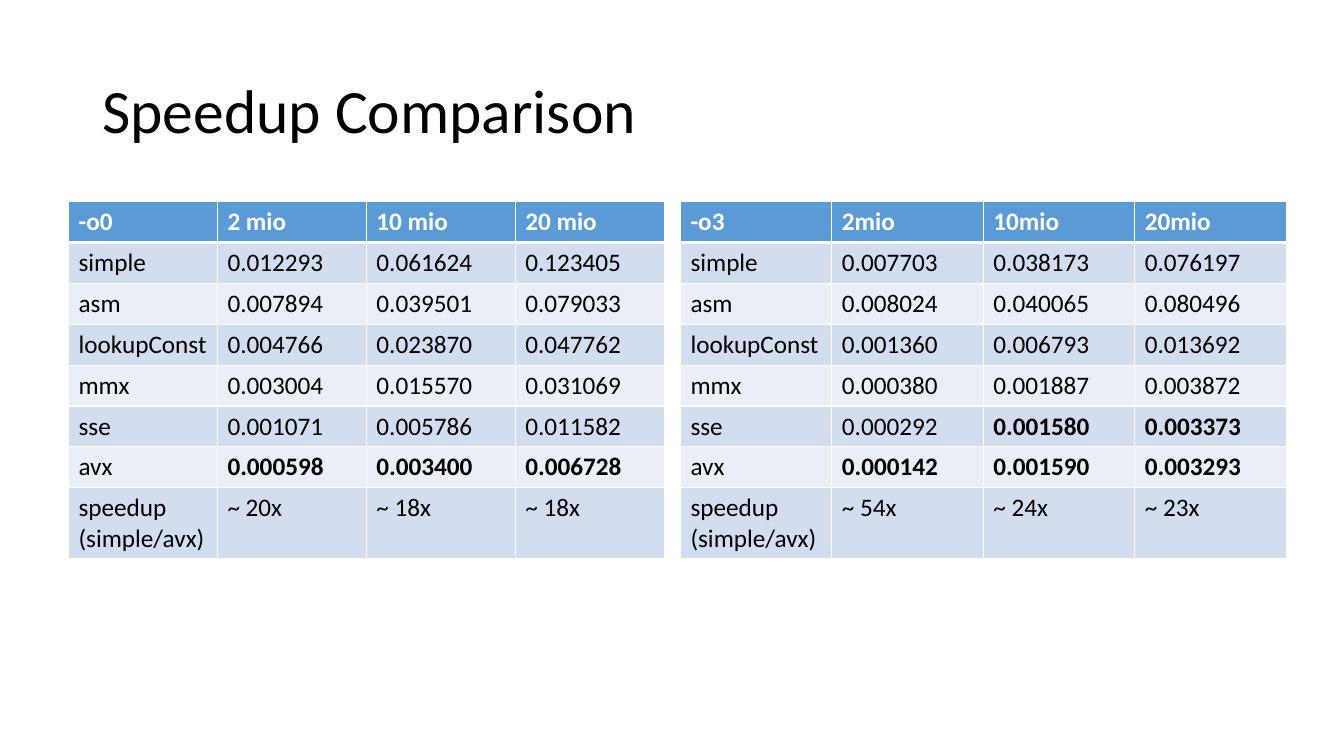
from dataclasses import dataclass

from lxml.etree import SubElement
from pptx import Presentation
from pptx.dml.color import RGBColor
from pptx.enum.text import MSO_ANCHOR
from pptx.oxml.ns import qn
from pptx.slide import Slide
from pptx.table import _Cell
from pptx.text.text import _Paragraph
from pptx.util import Inches, Length, Pt

WHITE = RGBColor(0xFF, 0xFF, 0xFF)
BLACK = RGBColor(0x00, 0x00, 0x00)
BLUE = RGBColor(0x5B, 0x9B, 0xD5)
BAND_DARK = RGBColor(0xD2, 0xDE, 0xEF)
BAND_LIGHT = RGBColor(0xEA, 0xEF, 0xF7)

FONT = "Calibri"
WIDTH, HEIGHT = Inches(13.333), Inches(7.5)
TABLE_TOP = 26.67
ROW_HEIGHT = 5.41
LAST_ROW_HEIGHT = 9.33
METHODS = ("simple", "asm", "lookupConst", "mmx", "sse", "avx", "speedup\n(simple/avx)")


@dataclass(frozen=True)
class Timing:
    left: float
    col_width: float
    header: tuple[str, ...]
    values: tuple[tuple[str, ...], ...]
    bold: frozenset[str]


TIMINGS = (
    Timing(
        5.1, 11.08, ("-o0", "2 mio", "10 mio", "20 mio"),
        (
            ("0.012293", "0.061624", "0.123405"),
            ("0.007894", "0.039501", "0.079033"),
            ("0.004766", "0.023870", "0.047762"),
            ("0.003004", "0.015570", "0.031069"),
            ("0.001071", "0.005786", "0.011582"),
            ("0.000598", "0.003400", "0.006728"),
            ("~ 20x", "~ 18x", "~ 18x"),
        ),
        frozenset(("0.000598", "0.003400", "0.006728")),
    ),
    Timing(
        50.63, 11.27, ("-o3", "2mio", "10mio", "20mio"),
        (
            ("0.007703", "0.038173", "0.076197"),
            ("0.008024", "0.040065", "0.080496"),
            ("0.001360", "0.006793", "0.013692"),
            ("0.000380", "0.001887", "0.003872"),
            ("0.000292", "0.001580", "0.003373"),
            ("0.000142", "0.001590", "0.003293"),
            ("~ 54x", "~ 24x", "~ 23x"),
        ),
        frozenset(("0.001580", "0.003373", "0.000142", "0.001590", "0.003293")),
    ),
)


def across(percent: float) -> Length:
    return Length(round(WIDTH * percent / 100))


def down(percent: float) -> Length:
    return Length(round(HEIGHT * percent / 100))


def add_run(p: _Paragraph, text: str, size: int, color: RGBColor, bold: bool = False) -> None:
    r = p.add_run()
    r.text = text
    r.font.name = FONT
    r.font.size = Pt(size)
    r.font.color.rgb = color
    r.font.bold = bold


def set_borders(cell: _Cell, top: int, bottom: int) -> None:
    tc_pr = cell._tc.get_or_add_tcPr()
    sides = (("a:lnL", 1), ("a:lnR", 1), ("a:lnT", top), ("a:lnB", bottom))
    for i, (tag, width) in enumerate(sides):
        ln = SubElement(tc_pr, qn(tag), w=str(Pt(width)))
        fill = SubElement(ln, qn("a:solidFill"))
        SubElement(fill, qn("a:srgbClr"), val=str(WHITE))
        tc_pr.insert(i, ln)


def add_title(slide: Slide, text: str) -> None:
    sp = slide.shapes.add_textbox(across(6.88), down(5.33), across(86.25), down(19.33))
    tf = sp.text_frame
    tf.word_wrap = True
    tf.vertical_anchor = MSO_ANCHOR.MIDDLE
    p = tf.paragraphs[0]
    p.line_spacing = 0.9
    add_run(p, text, 44, BLACK)


def fill_cell(cell: _Cell, text: str, row: int, bold: bool) -> None:
    is_header = row == 0
    cell.fill.solid()
    cell.fill.fore_color.rgb = BLUE if is_header else BAND_DARK if row % 2 else BAND_LIGHT
    set_borders(cell, top=3 if row == 1 else 1, bottom=3 if is_header else 1)
    tf = cell.text_frame
    for i, line in enumerate(text.split("\n")):
        p = tf.add_paragraph() if i else tf.paragraphs[0]
        add_run(p, line, 18, WHITE if is_header else BLACK, is_header or bold)


def add_timing(slide: Slide, timing: Timing) -> None:
    rows = [timing.header] + [(m, *v) for m, v in zip(METHODS, timing.values)]
    heights = [ROW_HEIGHT] * (len(rows) - 1) + [LAST_ROW_HEIGHT]
    cols = len(timing.header)
    table = slide.shapes.add_table(
        len(rows), cols, across(timing.left), down(TABLE_TOP),
        across(timing.col_width * cols), down(sum(heights)),
    ).table
    table.horz_banding = False
    for column in table.columns:
        column.width = across(timing.col_width)
    for i, (texts, height) in enumerate(zip(rows, heights)):
        table.rows[i].height = down(height)
        for j, text in enumerate(texts):
            fill_cell(table.cell(i, j), text, i, text in timing.bold)


def main() -> None:
    prs = Presentation()
    prs.slide_width, prs.slide_height = WIDTH, HEIGHT
    slide = prs.slides.add_slide(prs.slide_layouts[6])
    add_title(slide, "Speedup Comparison")
    for timing in TIMINGS:
        add_timing(slide, timing)
    prs.save("out.pptx")


if __name__ == "__main__":
    main()
